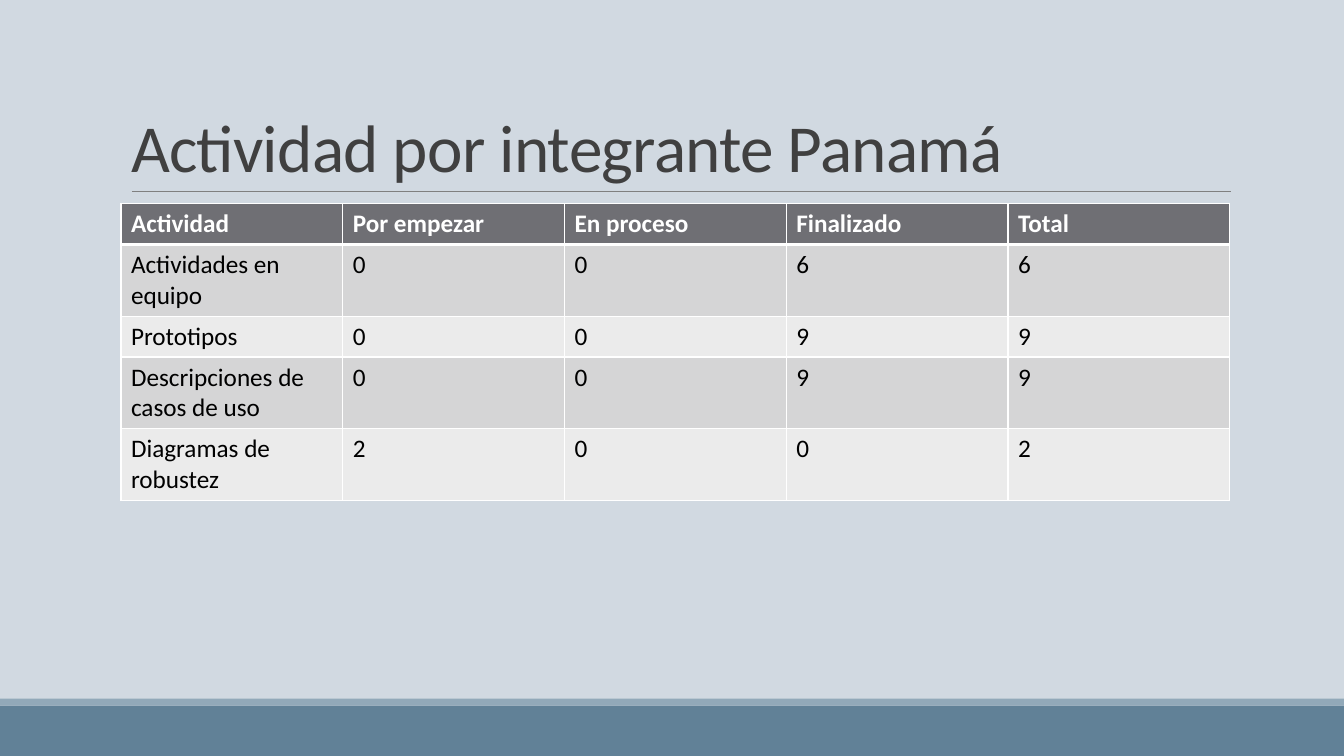
import pptx
import pptx.dml.color
import pptx.enum.shapes
import pptx.enum.text
import pptx.oxml.ns
import pptx.util
from lxml import etree

Pt = pptx.util.Pt
RGBColor = pptx.dml.color.RGBColor

BACKGROUND = RGBColor(0xD1, 0xD9, 0xE1)
FOOTER_BLUE = RGBColor(0x61, 0x81, 0x97)
FOOTER_EDGE = RGBColor(0x92, 0xA9, 0xB9)
RULE_GRAY = RGBColor(0x80, 0x80, 0x80)
TITLE_GRAY = RGBColor(0x40, 0x40, 0x40)
HEADER_GRAY = RGBColor(0x6F, 0x6F, 0x74)
BAND_DARK = RGBColor(0xD5, 0xD5, 0xD6)
BAND_LIGHT = RGBColor(0xEB, 0xEB, 0xEB)
WHITE = RGBColor(0xFF, 0xFF, 0xFF)
BLACK = RGBColor(0, 0, 0)

FONT = "Calibri"
SLIDE_WIDTH, SLIDE_HEIGHT = 960, 540
COLUMN_WIDTH = 158.4
ONE_LINE, TWO_LINES = 29.2, 51

ACTIVITIES = [
    ("Actividad", "Por empezar", "En proceso", "Finalizado", "Total"),
    ("Actividades en equipo", "0", "0", "6", "6"),
    ("Prototipos", "0", "0", "9", "9"),
    ("Descripciones de casos de uso", "0", "0", "9", "9"),
    ("Diagramas de robustez", "2", "0", "0", "2"),
]
ROW_HEIGHTS = [ONE_LINE, TWO_LINES, ONE_LINE, TWO_LINES, TWO_LINES]


def write_text(frame, text, size=18, color=BLACK, bold=False, line_spacing=None, tracking=None):
    paragraph = frame.paragraphs[0]
    paragraph.line_spacing = line_spacing
    run = paragraph.add_run()
    run.text = text
    run.font.name = FONT
    run.font.size = Pt(size)
    run.font.bold = bold
    run.font.color.rgb = color
    if tracking is not None:
        run.font._element.set("spc", str(round(tracking * 100)))


def add_band(slide, top, height, color):
    band = slide.shapes.add_shape(
        pptx.enum.shapes.MSO_SHAPE.RECTANGLE, 0, Pt(top), Pt(SLIDE_WIDTH), Pt(height))
    band.shadow.inherit = False
    band.fill.solid()
    band.fill.fore_color.rgb = color
    band.line.fill.background()


def add_rule(slide, left, right, y):
    rule = slide.shapes.add_connector(
        pptx.enum.shapes.MSO_CONNECTOR.STRAIGHT, Pt(left), Pt(y), Pt(right), Pt(y))
    rule.line.color.rgb = RULE_GRAY
    rule.line.width = Pt(0.5)
    etree.SubElement(rule._element.spPr, pptx.oxml.ns.qn("a:effectLst"))


def set_title(slide, text):
    title = slide.shapes.title
    title.left, title.top, title.width, title.height = Pt(86.4), Pt(22.6), Pt(792), Pt(114.2)
    title.text_frame.vertical_anchor = pptx.enum.text.MSO_ANCHOR.BOTTOM
    title.text_frame.word_wrap = True
    title.text_frame.paragraphs[0].alignment = pptx.enum.text.PP_ALIGN.LEFT
    write_text(title.text_frame, text, size=48, color=TITLE_GRAY,
               line_spacing=0.85, tracking=-0.5)


def set_borders(cell, top=1, bottom=1):
    qn = pptx.oxml.ns.qn
    properties = cell._tc.get_or_add_tcPr()
    for side, width in (("L", 1), ("R", 1), ("T", top), ("B", bottom)):
        border = etree.SubElement(properties, qn(f"a:ln{side}"), w=str(Pt(width)))
        fill = etree.SubElement(border, qn("a:solidFill"))
        etree.SubElement(fill, qn("a:srgbClr"), val=str(WHITE))


def add_activity_table(slide, left, top):
    column_count = len(ACTIVITIES[0])
    table = slide.shapes.add_table(
        len(ACTIVITIES), column_count, Pt(left), Pt(top),
        Pt(COLUMN_WIDTH * column_count), Pt(sum(ROW_HEIGHTS))).table
    for column in table.columns:
        column.width = Pt(COLUMN_WIDTH)
    for index, (values, height) in enumerate(zip(ACTIVITIES, ROW_HEIGHTS)):
        is_header = index == 0
        band = HEADER_GRAY if is_header else BAND_DARK if index % 2 else BAND_LIGHT
        table.rows[index].height = Pt(height)
        for cell, value in zip(table.rows[index].cells, values):
            set_borders(cell, top=3 if index == 1 else 1, bottom=3 if is_header else 1)
            cell.fill.solid()
            cell.fill.fore_color.rgb = band
            write_text(cell.text_frame, value, bold=is_header,
                       color=WHITE if is_header else BLACK)


def main():
    presentation = pptx.Presentation()
    presentation.slide_width = Pt(SLIDE_WIDTH)
    presentation.slide_height = Pt(SLIDE_HEIGHT)
    slide = presentation.slides.add_slide(presentation.slide_layouts.get_by_name("Title Only"))
    slide.background.fill.solid()
    slide.background.fill.fore_color.rgb = BACKGROUND

    add_band(slide, 504, 36, FOOTER_BLUE)
    add_band(slide, 499, 5, FOOTER_EDGE)
    add_rule(slide, 94.3, 879, 136.8)
    set_title(slide, "Actividad por integrante Panamá")
    add_activity_table(slide, 86.4, 145.5)
    presentation.save("out.pptx")


if __name__ == "__main__":
    main()
